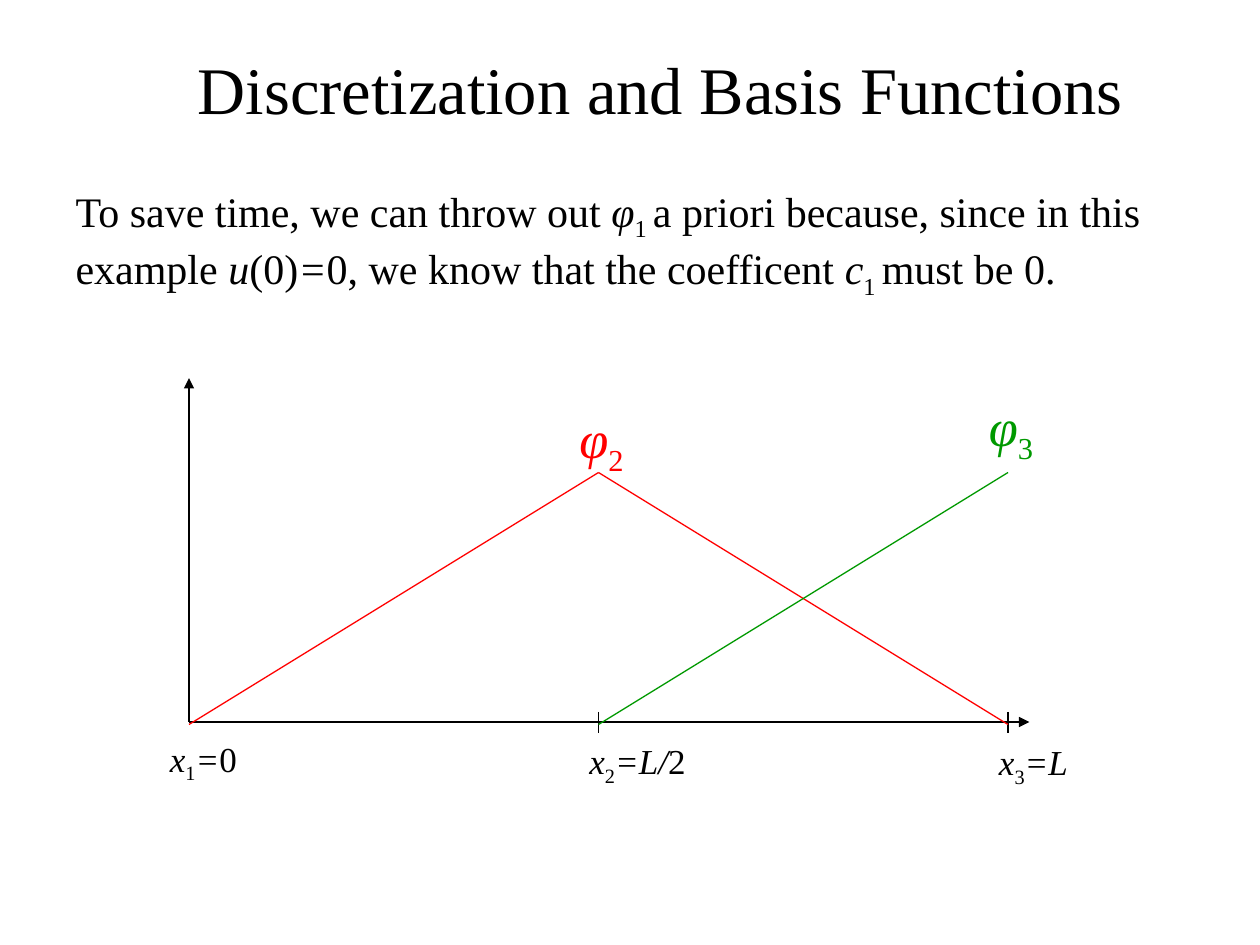
"""Build the slide on discretization and linear basis functions."""
from lxml import etree
from pptx import Presentation
from pptx.dml.color import RGBColor
from pptx.enum.shapes import MSO_CONNECTOR
from pptx.enum.text import MSO_ANCHOR, MSO_AUTO_SIZE, PP_ALIGN
from pptx.oxml.ns import qn
from pptx.util import Inches, Pt

STRAIGHT = MSO_CONNECTOR.STRAIGHT
TOP = MSO_ANCHOR.TOP
NO_AUTOFIT = MSO_AUTO_SIZE.NONE
LEFT, CENTER = PP_ALIGN.LEFT, PP_ALIGN.CENTER

FONT = "Times New Roman"
BLACK, RED, GREEN = "000000", "FF0000", "009900"
PLAIN, ITALIC, SUB = "plain", "italic", "subscript"

NODES = (1.5, 4.75, 8)
AXIS_Y, BASE_Y, PEAK_Y = 5.73, 5.75, 3.75

TITLE = [("Discretization and Basis Functions", PLAIN)]
EXPLANATION = [
    ("To save time, we can throw out ", PLAIN), ("φ", ITALIC), ("1 ", SUB),
    ("a priori because, since in this example ", PLAIN), ("u", ITALIC),
    ("(0)", PLAIN), ("=", ITALIC), ("0, we know that the coefficent ", PLAIN),
    ("c", ITALIC), ("1 ", SUB), ("must be 0.", PLAIN),
]
NODE_LABELS = [
    ((1.25, 5.8, 0.92, 0.48),
     [("x", ITALIC), ("1", SUB), ("=", ITALIC), ("0", PLAIN)]),
    ((4.58, 5.82, 1.17, 0.48),
     [("x", ITALIC), ("2", SUB), ("=L/", ITALIC), ("2", PLAIN)]),
    ((7.83, 5.83, 1.42, 0.48),
     [("x", ITALIC), ("3", SUB), ("=L", ITALIC)]),
]
BASIS_LABELS = [
    ((4.5, 3.17, 0.58, 0.67), "2", RED),
    ((7.75, 3.08, 0.58, 0.67), "3", GREEN),
]


def rgb(color):
    """Turn a hex string into a colour."""
    return RGBColor.from_string(color)


def apply(target, settings):
    """Set every attribute named in settings on target."""
    for name, value in settings.items():
        setattr(target, name, value)


def write(holder, box, pieces, size, color=BLACK, align=LEFT, before=15):
    """Place a text holder and fill it with one paragraph of styled pieces."""
    apply(holder, dict(zip(("left", "top", "width", "height"), map(Inches, box))))
    frame = holder.text_frame
    apply(frame, {
        "word_wrap": True, "auto_size": NO_AUTOFIT, "vertical_anchor": TOP,
        "margin_left": Inches(0.1), "margin_right": Inches(0.1),
        "margin_top": Inches(0.05), "margin_bottom": Inches(0.05),
    })
    paragraph = frame.paragraphs[0]
    apply(paragraph, {"alignment": align, "space_before": Pt(before)})
    for text, style in pieces:
        run = paragraph.add_run()
        run.text = text
        apply(run.font, {"name": FONT, "size": Pt(size), "bold": False,
                         "italic": style == ITALIC})
        run.font.color.rgb = rgb(color)
        if style == SUB:
            run.font._element.set("baseline", "-25000")
    return paragraph


def remove_bullet(paragraph):
    """Drop the bullet and the hanging indent of a paragraph."""
    properties = paragraph._p.get_or_add_pPr()
    properties.set("marL", "0")
    properties.set("indent", "0")
    etree.SubElement(properties, qn("a:buNone"))


def add_label(slide, box, pieces, size, color=BLACK):
    """Add a text box holding a mathematical label."""
    write(slide.shapes.add_textbox(0, 0, 0, 0), box, pieces, size, color)


def add_line(slide, start, end, color=BLACK, arrow=False):
    """Add a thin straight line, with an arrowhead at its end if asked."""
    line = slide.shapes.add_connector(STRAIGHT, *map(Inches, (*start, *end)))
    line.line.color.rgb = rgb(color)
    line.line.width = Pt(0.75)
    if arrow:
        outline = line.line._get_or_add_ln()
        etree.SubElement(outline, qn("a:tailEnd"), type="triangle")
    etree.SubElement(line._element.spPr, qn("a:effectLst"))


def add_axes(slide):
    """Draw both axes and the ticks at the inner and last nodes."""
    origin = (NODES[0], AXIS_Y)
    for tip in ((NODES[0], 3), (8.17, AXIS_Y)):
        add_line(slide, origin, tip, arrow=True)
    for x in NODES[1:]:
        add_line(slide, (x, 5.65), (x, 5.82))


def add_basis_functions(slide):
    """Draw the hat function at the middle node and the ramp at the last."""
    first, middle, last = NODES
    add_line(slide, (middle, PEAK_Y), (last, BASE_Y), RED)
    add_line(slide, (first, BASE_Y), (middle, PEAK_Y), RED)
    add_line(slide, (middle, BASE_Y), (last, PEAK_Y), GREEN)


def main():
    """Build and save the slide."""
    deck = Presentation()
    apply(deck, {"slide_width": Inches(10), "slide_height": Inches(7.5)})
    slide = deck.slides.add_slide(deck.slide_layouts[1])
    title, body = slide.placeholders
    write(title, (1.08, 0.33, 8.33, 0.74), TITLE, 38, align=CENTER, before=23.8)
    remove_bullet(write(body, (0.5, 1.42, 9.08, 1.01), EXPLANATION, 24))
    add_axes(slide)
    add_basis_functions(slide)
    for box, pieces in NODE_LABELS:
        add_label(slide, box, pieces, 20)
    for box, index, color in BASIS_LABELS:
        add_label(slide, box, [("φ", ITALIC), (index, SUB)], 30, color)
    deck.save("out.pptx")


if __name__ == "__main__":
    main()
